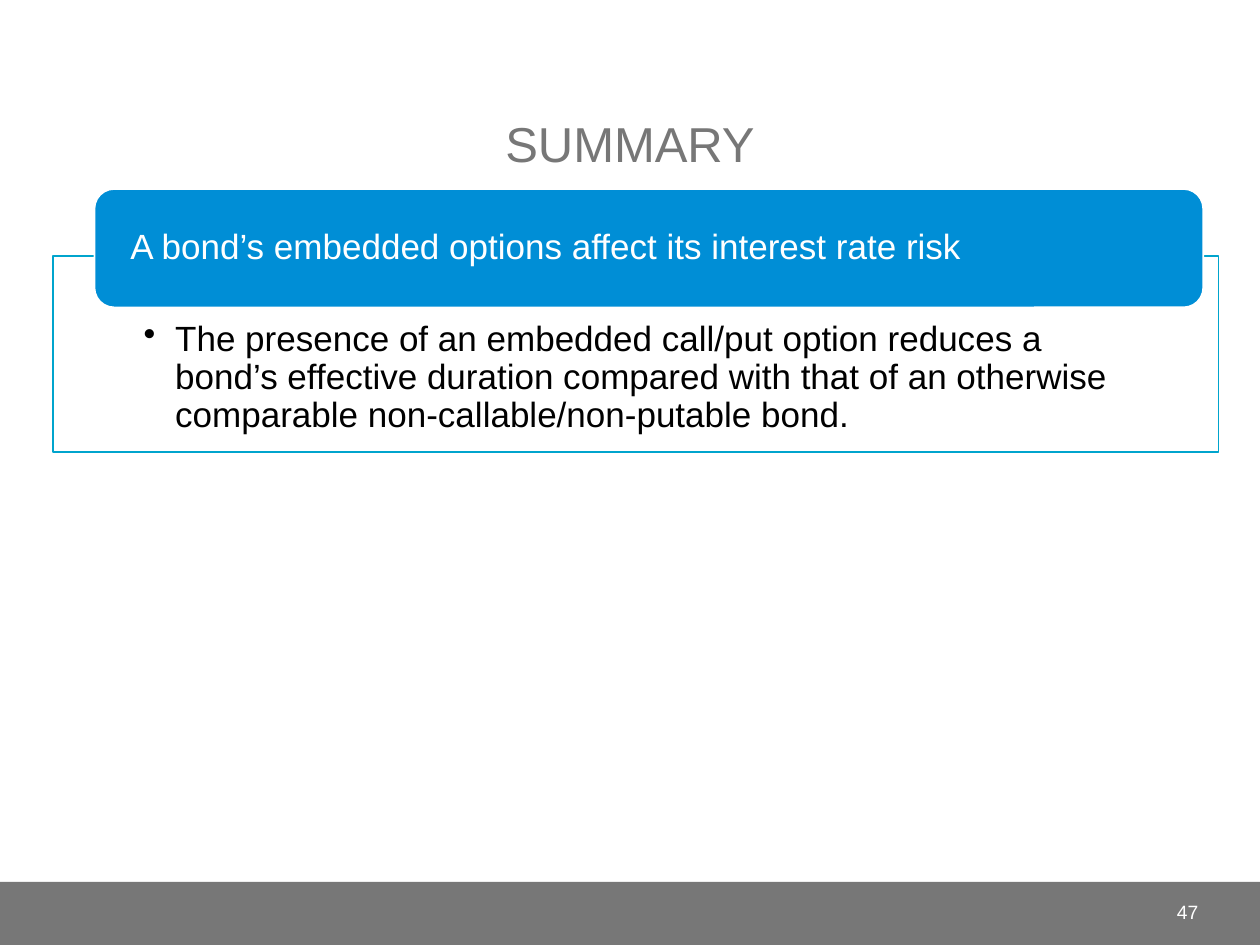
import pptx
import pptx.dml.color
import pptx.enum.shapes
import pptx.enum.text
import pptx.oxml.ns
import pptx.util
from lxml import etree

RGBColor = pptx.dml.color.RGBColor
SHAPE = pptx.enum.shapes.MSO_SHAPE
ALIGN = pptx.enum.text.PP_ALIGN
ANCHOR = pptx.enum.text.MSO_ANCHOR

GREY = RGBColor(0x77, 0x77, 0x77)
BLUE = RGBColor(0x00, 0x8E, 0xD6)
TEAL = RGBColor(0x00, 0xA4, 0xCD)
BLACK = RGBColor(0, 0, 0)
WHITE = RGBColor(0xFF, 0xFF, 0xFF)

# The slide is a grid of one-inch columns and rows
COLUMNS, ROWS = 10, 7.5


def add_bullet(paragraph, indent):
    properties = paragraph._p.get_or_add_pPr()
    properties.set("marL", str(pptx.util.Inches(indent)))
    properties.set("indent", str(-pptx.util.Inches(indent)))
    bullet = etree.SubElement(properties, pptx.oxml.ns.qn("a:buChar"))
    bullet.set("char", "•")


def write(frame, text, size=20, color=BLACK, align=ALIGN.LEFT, anchor=ANCHOR.TOP,
          insets=(0.1, 0.05, 0.1, 0.05), spacing=1.0, bullet_indent=None):
    frame.word_wrap = True
    frame.vertical_anchor = anchor
    (frame.margin_left, frame.margin_top,
     frame.margin_right, frame.margin_bottom) = map(pptx.util.Inches, insets)
    paragraph = frame.paragraphs[0]
    if bullet_indent:
        add_bullet(paragraph, bullet_indent)
    paragraph.alignment = align
    paragraph.line_spacing = spacing
    run = paragraph.add_run()
    run.text = text
    run.font.name = "Arial"
    run.font.size = pptx.util.Pt(size)
    run.font.color.rgb = color


class SummarySlide:
    def __init__(self, deck):
        self.slide = deck.slides.add_slide(deck.slide_layouts[6])
        self.column = deck.slide_width / COLUMNS
        self.row = deck.slide_height / ROWS

    def place(self, left, top, width, height):
        return (round(left * self.column), round(top * self.row),
                round(width * self.column), round(height * self.row))

    def panel(self, area, kind=SHAPE.RECTANGLE, fill=None, line=None):
        panel = self.slide.shapes.add_shape(kind, *self.place(*area))
        panel.shadow.inherit = False
        if fill is None:
            panel.fill.background()
        else:
            panel.fill.solid()
            panel.fill.fore_color.rgb = fill
        if line is None:
            panel.line.fill.background()
        else:
            panel.line.color.rgb = line
            panel.line.width = pptx.util.Pt(1)
        return panel

    def text(self, area, words, **style):
        box = self.slide.shapes.add_textbox(*self.place(*area))
        write(box.text_frame, words, **style)


def main():
    deck = pptx.Presentation()
    deck.slide_width = pptx.util.Inches(COLUMNS)
    deck.slide_height = pptx.util.Inches(ROWS)
    summary = SummarySlide(deck)

    # Footer band and page number
    summary.panel((0, 7, COLUMNS, 0.5), fill=GREY)
    summary.text((8.75, 7.04, 0.86, 0.4), "47", size=11, color=WHITE,
                 align=ALIGN.RIGHT, anchor=ANCHOR.MIDDLE)

    # Title
    summary.text((0.42, 0.17, 9.16, 1.25), "SUMMARY", size=28, color=GREY,
                 align=ALIGN.CENTER, anchor=ANCHOR.BOTTOM)

    # Outlined explanation
    explanation = summary.panel((0.42, 2.03, 9.25, 1.56), line=TEAL)
    write(explanation.text_frame,
          "The presence of an embedded call/put option reduces a bond’s effective "
          "duration compared with that of an otherwise comparable "
          "non-callable/non-putable bond.",
          insets=(0.72, 0.52, 0.72, 0.16), spacing=0.9, bullet_indent=0.25)

    # Key statement over the top edge of the outline
    statement = summary.panel((0.75, 1.5, 8.8, 0.94), SHAPE.ROUNDED_RECTANGLE,
                              fill=BLUE, line=WHITE)
    write(statement.text_frame,
          "A bond’s embedded options affect its interest rate risk", color=WHITE,
          anchor=ANCHOR.MIDDLE, insets=(0.24, 0, 0.24, 0), spacing=0.9)

    deck.save("out.pptx")


if __name__ == "__main__":
    main()
